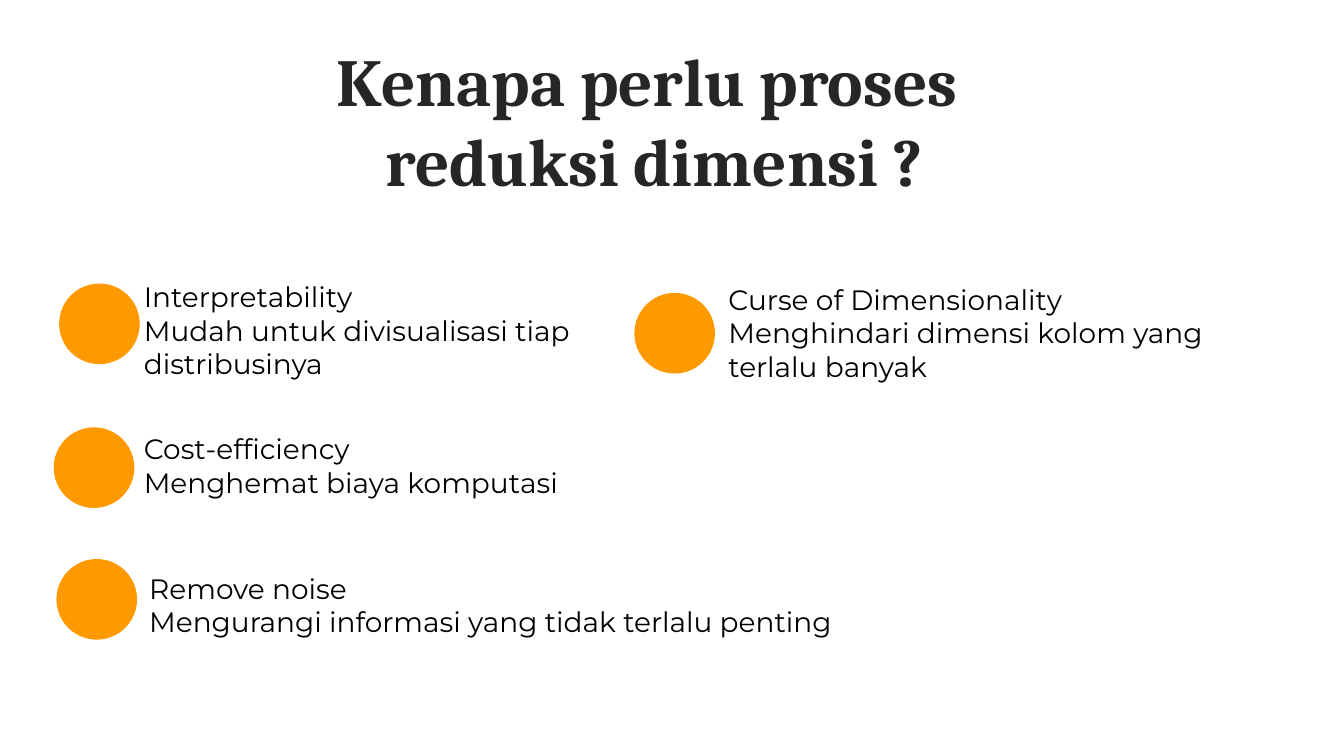
"""Build a slide on why dimensionality reduction is needed."""
from dataclasses import dataclass

from pptx import Presentation
from pptx.dml.color import RGBColor
from pptx.enum.shapes import MSO_SHAPE
from pptx.enum.text import MSO_ANCHOR, MSO_AUTO_SIZE, PP_ALIGN
from pptx.util import Inches, Pt

OVAL = MSO_SHAPE.OVAL
TOP = MSO_ANCHOR.TOP
NO_FIT = MSO_AUTO_SIZE.NONE
LEFT, CENTER = PP_ALIGN.LEFT, PP_ALIGN.CENTER


@dataclass(frozen=True)
class Theme:
    title_font: str = "Cambria"
    body_font: str = "Montserrat"
    title_size: int = 36
    body_size: int = 15
    title_color: str = "262626"
    body_color: str = "000000"
    accent: str = "FF9900"
    background: str = "FFFFFF"


theme = Theme()


def write_lines(box, lines, font, size, color, bold, align):
    frame = box.text_frame
    frame.word_wrap = True
    frame.auto_size = NO_FIT
    frame.vertical_anchor = TOP
    frame.margin_left = frame.margin_right = Inches(0.07)
    frame.margin_top = frame.margin_bottom = Inches(0.04)
    frame.text = "\n".join(lines)
    for paragraph in frame.paragraphs:
        paragraph.alignment = align
        for span in paragraph.runs:
            span.font.name = font
            span.font.size = Pt(size)
            span.font.bold = bold
            span.font.color.rgb = RGBColor.from_string(color)


deck = Presentation()
deck.slide_width = Inches(10)
deck.slide_height = Inches(10 * 9 / 16)
page = deck.slides.add_slide(deck.slide_layouts[5])
page.background.fill.solid()
page.background.fill.fore_color.rgb = RGBColor.from_string(theme.background)

title = page.shapes.title
title.left, title.top = Inches(0.17), Inches(0.25)
title.width, title.height = Inches(9.4), Inches(1.22)
write_lines(title, ["Kenapa perlu proses ", "reduksi dimensi ?"],
            theme.title_font, theme.title_size, theme.title_color, True, CENTER)

dot_size = Inches(0.6)
text_height = Inches(0.58)
reasons = [
    ((0.44, 2.11), (1, 2.04), 3.79, "Interpretability",
     "Mudah untuk divisualisasi tiap distribusinya"),
    ((0.4, 3.18), (1, 3.17), 3.26, "Cost-efficiency",
     "Menghemat biaya komputasi"),
    ((0.42, 4.16), (1.04, 4.21), 5.78, "Remove noise",
     "Mengurangi informasi yang tidak terlalu penting"),
    ((4.72, 2.18), (5.35, 2.06), 3.69, "Curse of Dimensionality",
     "Menghindari dimensi kolom yang terlalu banyak"),
]
for (dot_left, dot_top), (text_left, text_top), width, heading, detail in reasons:
    dot = page.shapes.add_shape(OVAL, Inches(dot_left), Inches(dot_top), dot_size, dot_size)
    dot.shadow.inherit = False
    dot.fill.solid()
    dot.fill.fore_color.rgb = RGBColor.from_string(theme.accent)
    dot.line.fill.background()
    box = page.shapes.add_textbox(Inches(text_left), Inches(text_top), Inches(width), text_height)
    write_lines(box, [heading, detail], theme.body_font, theme.body_size,
                theme.body_color, False, LEFT)

deck.save("out.pptx")
